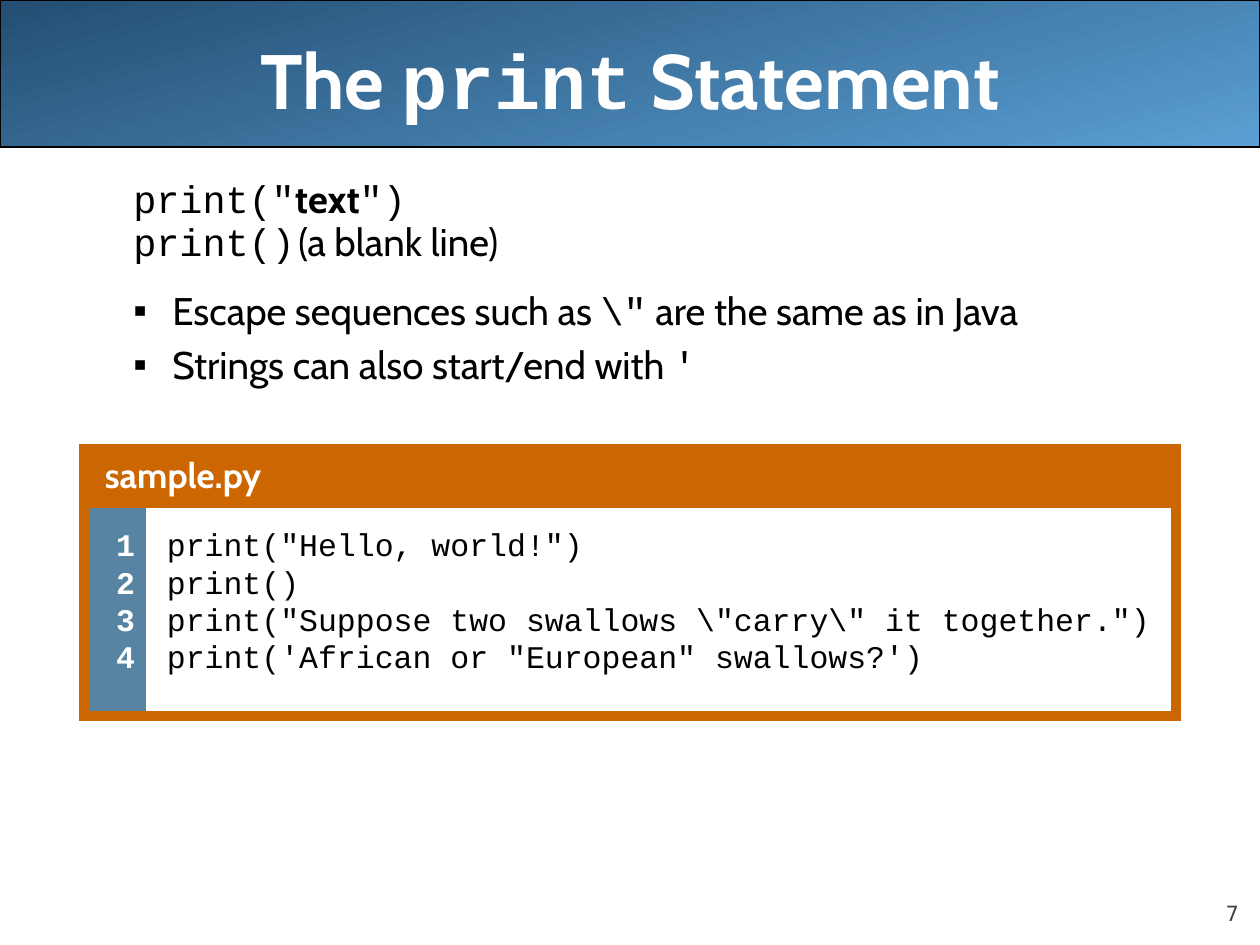
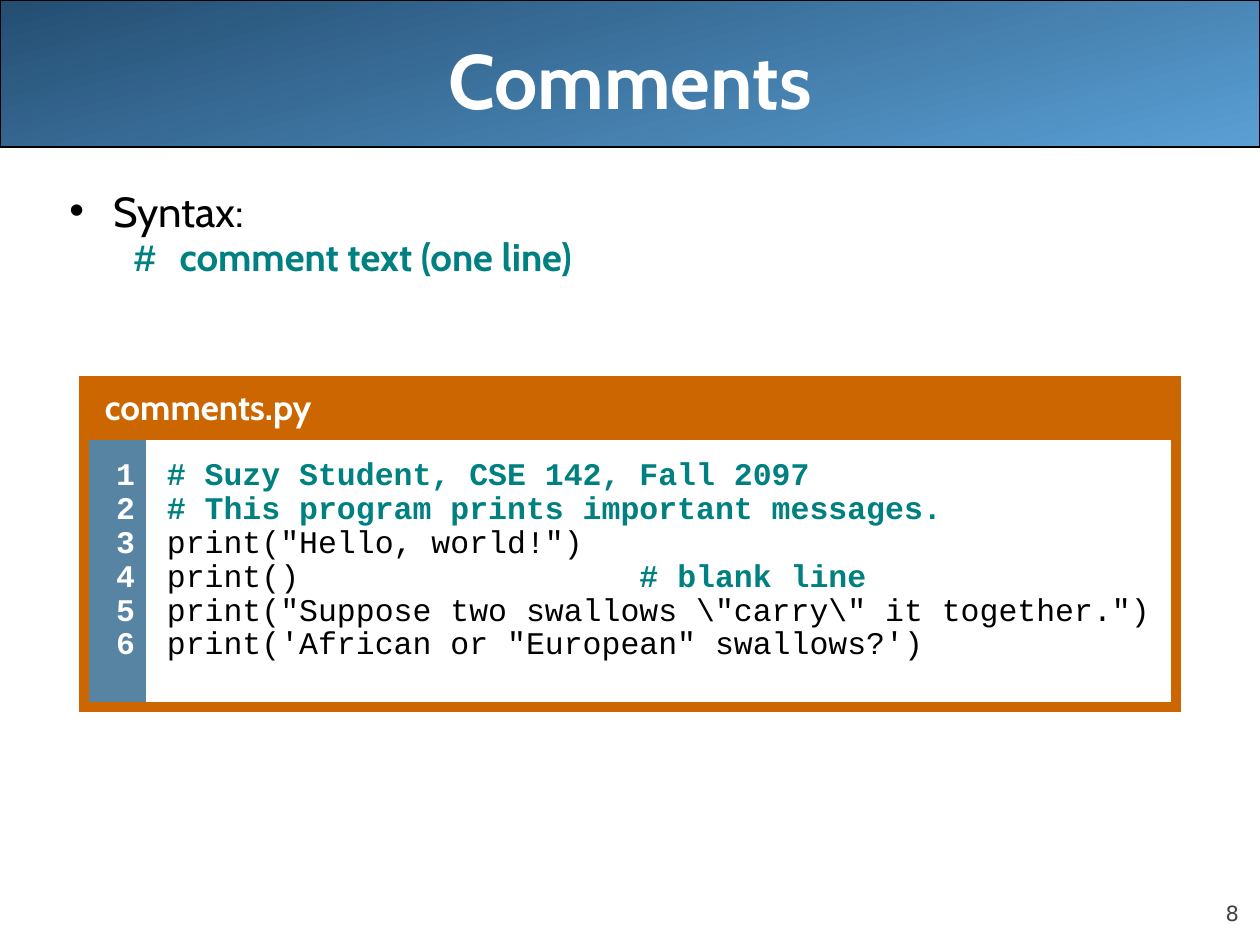
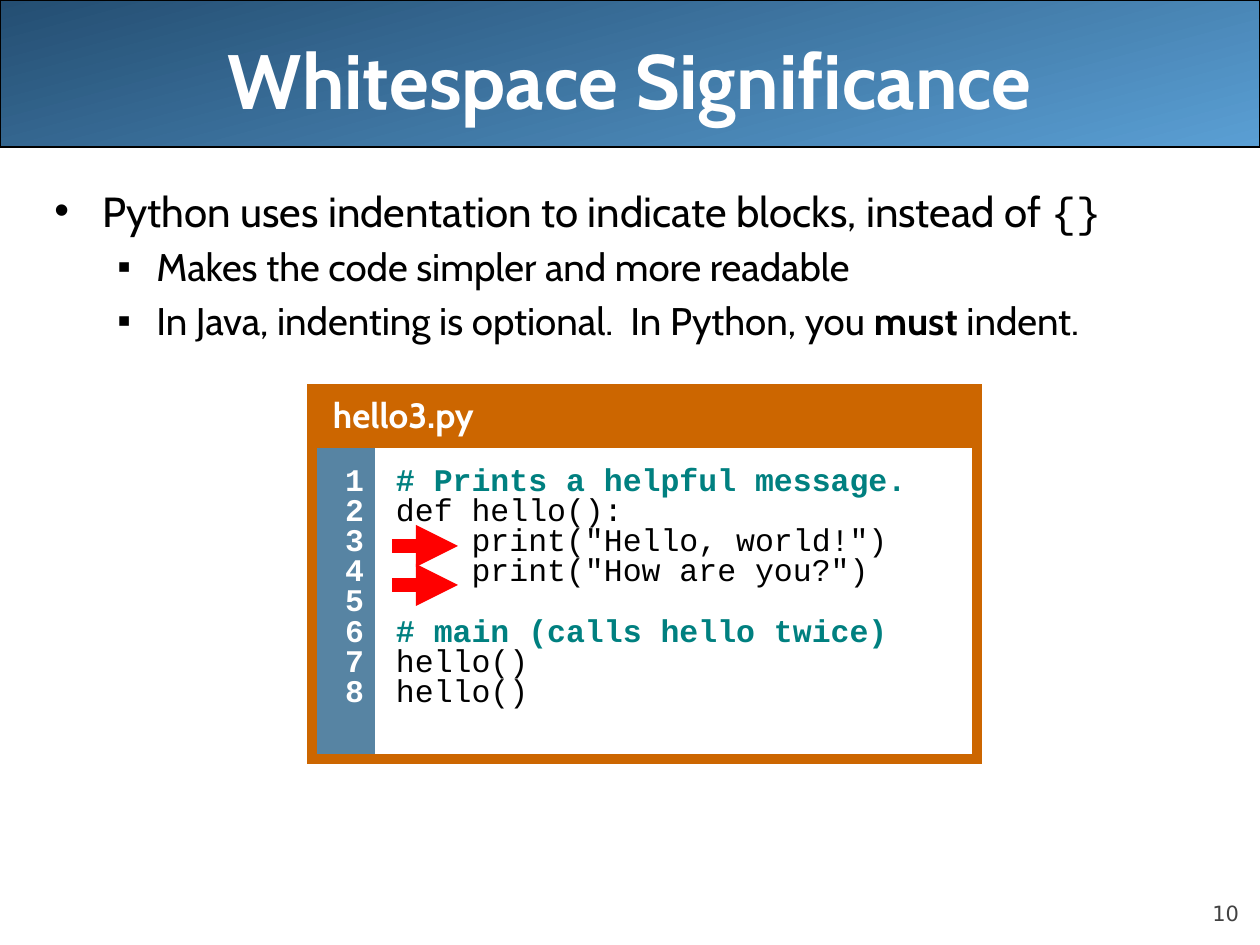
from dataclasses import dataclass

from lxml import etree
from pptx import Presentation
from pptx import util as u
from pptx.dml.color import RGBColor
from pptx.enum import shapes, text
from pptx.oxml.ns import qn


@dataclass(frozen=True)
class Theme:
    dark_blue: str = "244E72"
    light_blue: str = "5A9FD4"
    steel: str = "5784A3"
    orange: str = "CC6600"
    teal: str = "008080"
    red: str = "FF0000"
    black: str = "000000"
    white: str = "FFFFFF"
    gray: str = "424242"
    sans: str = "Cabin"
    mono: str = "Courier New"
    page: str = "DejaVu Sans"
    title_size: int = 44
    lead_size: int = 24
    point_size: int = 22
    file_size: int = 20
    code_size: int = 18
    page_size: int = 12


theme = Theme()
rgb = RGBColor.from_string
PX = 914400 / 126
MONO_HEIGHT = 1.13

plain = (theme.sans, False, theme.black)
strong = (theme.sans, True, theme.black)
mono = (theme.mono, False, theme.black)
teal_mono = (theme.mono, True, theme.teal)
teal_sans = (theme.sans, True, theme.teal)
title_sans = (theme.sans, True, theme.white)
title_mono = (theme.mono, True, theme.white)
page_style = (theme.page, False, theme.gray)


def px(*lengths):
    return [u.Emu(round(length * PX)) for length in lengths]


def write(frame, runs, size, align=text.PP_ALIGN.LEFT, indent=(0, 0), bullet=None, spacing=1, before=0):
    paragraph = frame.paragraphs[-1]
    if paragraph.runs:
        paragraph = frame.add_paragraph()
    paragraph.alignment = align
    paragraph.line_spacing = spacing
    paragraph.space_before = u.Pt(before)
    properties = paragraph._p.get_or_add_pPr()
    left, hanging = px(*indent)
    properties.set("marL", str(left))
    properties.set("indent", str(hanging))
    if bullet:
        etree.SubElement(properties, qn("a:buFont"), typeface="Arial")
        etree.SubElement(properties, qn("a:buChar"), char=bullet)
    paragraph.font.size = u.Pt(size)
    styles = {style for _, style in runs}
    if len(styles) == 1:
        paragraph.font.name, paragraph.font.bold, _ = runs[0][1]
    for words, (face, bold, color) in runs:
        run = paragraph.add_run()
        run.text = words
        run.font.color.rgb = rgb(color)
        if len(styles) > 1:
            run.font.name, run.font.bold = face, bold


lead = dict(size=theme.lead_size, bullet="•", before=4.8)
syntax = dict(size=theme.point_size, indent=(118, -39), spacing=0.77, before=4.4)
point = dict(size=theme.point_size, indent=(118, -39), bullet="▪", before=4.4)
shallow_point = {**point, "indent": (102, -39)}

hello = 'print("Hello, world!")'
swallows = [
    [('print("Suppose two swallows \\"carry\\" it together.")', mono)],
    [("print('African or \"European\" swallows?')", mono)],
]

lessons = [
    dict(
        page="7",
        title=[("The ", title_sans), ("print", title_mono), (" Statement", title_sans)],
        body=[
            ([('print("', mono), ("text", strong), ('")', mono)], syntax),
            ([("print()", mono), ("\t(a blank line)", plain)], syntax),
            ([("Escape sequences such as ", plain), ('\\"', mono), (" are the same as in Java", plain)],
             {**point, "before": 13}),
            ([("Strings can also start/end with ", plain), ("'", mono)], point),
        ],
        file="sample.py", place=(84, 449), columns=(62, 1030), code_height=213, spacing=0.87,
        code=[[(hello, mono)], [("print()", mono)], *swallows],
        arrows=[],
    ),
    dict(
        page="8",
        title=[("Comments", title_sans)],
        body=[
            ([("Syntax:", plain)], {**lead, "indent": (59, -44)}),
            ([("# ", teal_mono), ("comment text (one line)", teal_sans)], syntax),
        ],
        file="comments.py", place=(84, 381), columns=(62, 1030), code_height=272, spacing=0.77,
        code=[
            [("# Suzy Student, CSE 142, Fall 2097", teal_mono)],
            [("# This program prints important messages.", teal_mono)],
            [(hello, mono)],
            [("print()".ljust(25), mono), ("# blank line", teal_mono)],
            *swallows,
        ],
        arrows=[],
    ),
    dict(
        page="10",
        title=[("Whitespace Significance", title_sans)],
        body=[
            ([("Python uses indentation to indicate blocks, instead of ", plain), ("{}", mono)],
             {**lead, "indent": (48, -48)}),
            ([("Makes the code simpler and more readable", plain)], shallow_point),
            ([("In Java, indenting is optional.  In Python, you ", plain), ("must", strong),
              (" indent.", plain)], shallow_point),
        ],
        file="hello3.py", place=(312, 389), columns=(63, 602), code_height=316, spacing=0.67,
        code=[
            [("# Prints a helpful message.", teal_mono)],
            [("def hello():", mono)],
            [("    " + hello, mono)],
            [('    print("How are you?")', mono)],
            [],
            [("# main (calls hello twice)", teal_mono)],
            [("hello()", mono)],
            [("hello()", mono)],
        ],
        arrows=[546, 585],
    ),
]

deck = Presentation()
deck.slide_width, deck.slide_height = px(1260, 945)

for lesson in lessons:
    slide = deck.slides.add_slide(deck.slide_layouts[6])

    band = slide.shapes.add_shape(shapes.MSO_SHAPE.ROUNDED_RECTANGLE, *px(0, 0, 1260, 147))
    band.adjustments[0] = 0
    band.shadow.inherit = False
    band.fill.gradient()
    band.fill.gradient_angle = 285
    for stop, color in zip(band.fill.gradient_stops, (theme.dark_blue, theme.light_blue)):
        stop.color.rgb = rgb(color)
    band.line.color.rgb = rgb(theme.black)
    band.line.width = u.Pt(0.75)

    number = slide.shapes.add_textbox(*px(1134, 876, 105, 50)).text_frame
    number.margin_left = number.margin_top = number.margin_right = number.margin_bottom = 0
    title = slide.shapes.add_textbox(*px(63, 0, 1134, 158)).text_frame
    body = slide.shapes.add_textbox(*px(42, 179, 1197, 683)).text_frame
    for frame, anchor in (
        (number, text.MSO_ANCHOR.BOTTOM),
        (title, text.MSO_ANCHOR.MIDDLE),
        (body, text.MSO_ANCHOR.TOP),
    ):
        frame.word_wrap = True
        frame.vertical_anchor = anchor
    write(number, [(lesson["page"], page_style)], theme.page_size, text.PP_ALIGN.RIGHT)
    write(title, lesson["title"], theme.title_size, text.PP_ALIGN.CENTER)
    for runs, layout in lesson["body"]:
        write(body, runs, **layout)

    rows = (53, lesson["code_height"])
    listing = slide.shapes.add_table(
        2, 2, *px(*lesson["place"], sum(lesson["columns"]), sum(rows))
    ).table
    listing.first_row = listing.horz_banding = False
    for column, width in zip(listing.columns, px(*lesson["columns"])):
        column.width = width
    for row, height in zip(listing.rows, px(*rows)):
        row.height = height
    file_cell, file_rest = listing.rows[0].cells
    line_cell, code_cell = listing.rows[1].cells
    file_cell.merge(file_rest)

    for cell, color, margins, sides in (
        (file_cell, theme.orange, (6, 6, 6, 6), "LRTB"),
        (file_rest, theme.orange, (6, 6, 6, 6), "LRTB"),
        (line_cell, theme.steel, (6, 29, 11, 29), "LTB"),
        (code_cell, theme.white, (6, 29, 23, 29), "RTB"),
    ):
        cell.margin_left, cell.margin_top, cell.margin_right, cell.margin_bottom = px(*margins)
        cell_properties = cell._tc.get_or_add_tcPr()
        for side in "LRTB":
            border = etree.SubElement(cell_properties, qn(f"a:ln{side}"), w=str(u.Pt(6)))
            if side in sides:
                paint = etree.SubElement(border, qn("a:solidFill"))
                etree.SubElement(paint, qn("a:srgbClr"), val=theme.orange)
            else:
                etree.SubElement(border, qn("a:noFill"))
        cell.fill.solid()
        cell.fill.fore_color.rgb = rgb(color)

    write(file_cell.text_frame, [(lesson["file"], title_sans)], theme.file_size, indent=(15, 0), before=4)
    spacing = lesson["spacing"]
    gap = theme.code_size * 0.2
    before = gap
    for line_number, code_line in enumerate(lesson["code"], 1):
        write(line_cell.text_frame, [(str(line_number), title_mono)], theme.code_size,
              text.PP_ALIGN.RIGHT, (15, 0), spacing=spacing, before=gap)
        if code_line:
            write(code_cell.text_frame, code_line, theme.code_size,
                  indent=(15, 0), spacing=spacing, before=before)
            before = gap
        else:
            before += theme.code_size * MONO_HEIGHT * spacing + gap

    for y in lesson["arrows"]:
        arrow = slide.shapes.add_connector(shapes.MSO_CONNECTOR.STRAIGHT, *px(392, y, 458, y))
        arrow.line.color.rgb = rgb(theme.red)
        arrow.line.width = u.Pt(8)
        etree.SubElement(arrow.line._get_or_add_ln(), qn("a:tailEnd"), type="triangle")
        etree.SubElement(arrow._element.spPr, qn("a:effectLst"))

deck.save("out.pptx")
